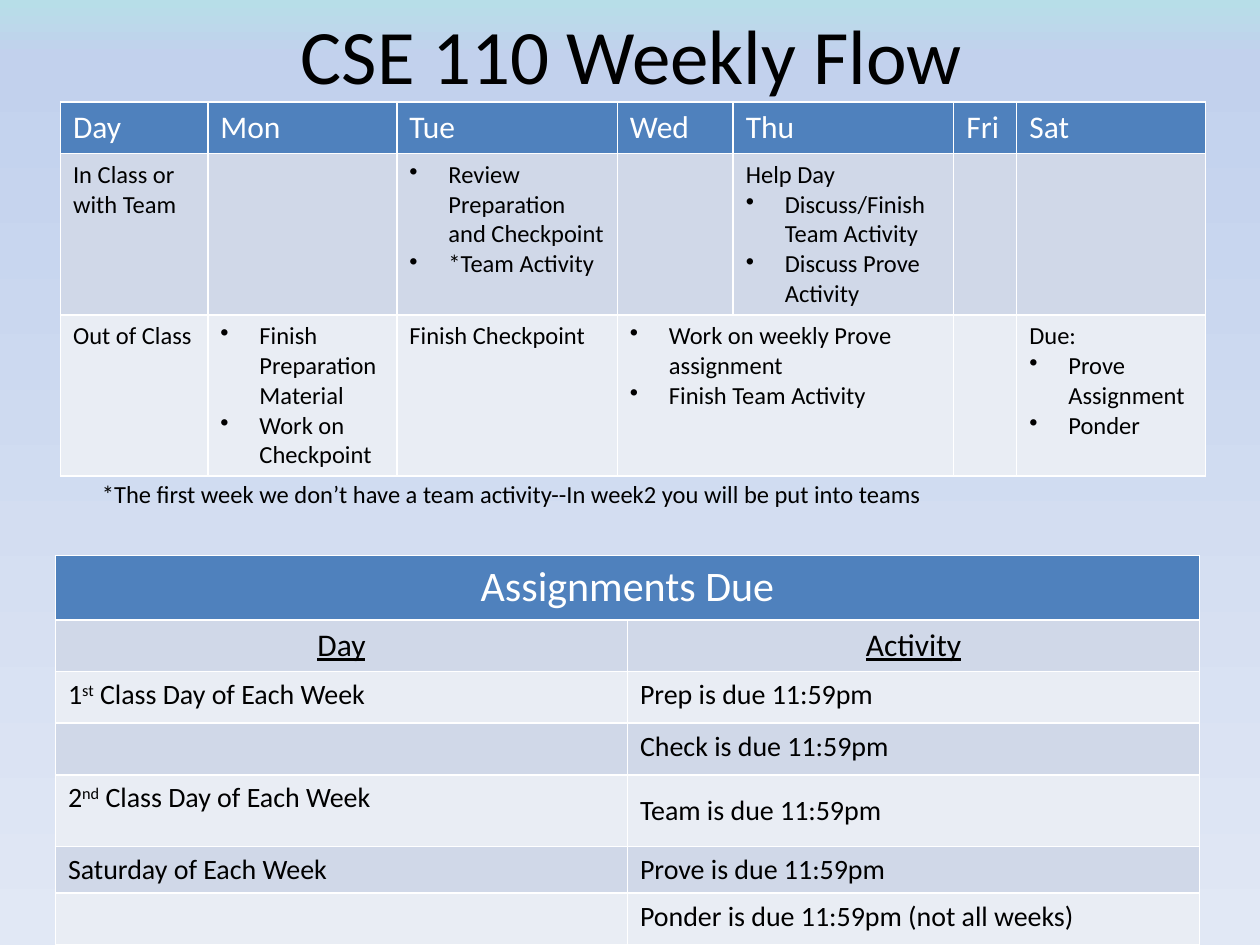
"""Build the CSE 110 weekly flow slide with its schedule and due-date tables."""
from copy import deepcopy

from pptx import Presentation
from pptx.dml.color import RGBColor
from pptx.enum import text as t
from pptx.oxml import ns, xmlchemy
from pptx.util import Inches, Pt
from lxml import etree

BLACK = RGBColor(0x00, 0x00, 0x00)
WHITE = RGBColor(0xFF, 0xFF, 0xFF)
HEADER = RGBColor(0x4F, 0x81, 0xBD)
BANDS = [RGBColor(0xE9, 0xED, 0xF4), RGBColor(0xD0, 0xD8, 0xE8)]
SKY = [(0, RGBColor(0xB7, 0xDE, 0xE8)), (0.06, RGBColor(0xC2, 0xD1, 0xED)),
       (1, RGBColor(0xE1, 0xE8, 0xF5))]


def write(frame, content, size, color=BLACK, align=t.PP_ALIGN.LEFT, underline=False):
    """Fill a frame line by line; '• ' starts a bullet and '^' encloses a superscript."""
    for i, line in enumerate(content.split("\n")):
        para = frame.paragraphs[0] if i == 0 else frame.add_paragraph()
        para.alignment = align
        font = para.font
        font.name, font.size, font.bold = "Calibri", Pt(size), False
        font.underline = underline
        font.color.rgb = color
        if line.startswith("• "):
            props = para._p.get_or_add_pPr()
            props.set("marL", str(Inches(0.31)))
            props.set("indent", str(Inches(-0.31)))
            bullet = etree.Element(ns.qn("a:buChar"), char="•")
            props.insert(0, bullet)
        for j, part in enumerate(line.removeprefix("• ").split("^")):
            run = para.add_run()
            run.text = part
            if j % 2:
                run._r.get_or_add_rPr().set("baseline", "30000")


def add_grid(left, top, widths, heights):
    """Add a table with a header row and alternating bands."""
    grid = slide.shapes.add_table(len(heights), len(widths), Inches(left), Inches(top),
                                  Inches(sum(widths)), Inches(sum(heights))).table
    for column, width in zip(grid.columns, widths):
        column.width = Inches(width)
    for r, height in enumerate(heights):
        grid.rows[r].height = Inches(height)
        for cell in grid.rows[r].cells:
            cell.fill.solid()
            cell.fill.fore_color.rgb = BANDS[r % 2] if r else HEADER
    return grid


prs = Presentation()
prs.slide_width, prs.slide_height = Inches(10), Inches(7.5)
slide = prs.slides.add_slide(prs.slide_layouts[6])

sky = slide.background.fill
sky.gradient()
sky.gradient_angle = 270
first_stop = slide._element.find(".//" + ns.qn("a:gs"))
first_stop.addnext(deepcopy(first_stop))
for stop, (position, color) in zip(sky.gradient_stops, SKY):
    stop.position = position
    stop.color.rgb = color

title = slide.shapes.add_textbox(Inches(0.49), 0, Inches(9.05), Inches(0.86)).text_frame
title.word_wrap = True
title.vertical_anchor = t.MSO_ANCHOR.MIDDLE
write(title, "CSE 110 Weekly Flow", 44, align=t.PP_ALIGN.CENTER)

WEEK = [
    ["Day", "Mon", "Tue", "Wed", "Thu", "Fri", "Sat"],
    ["In Class or with Team", "",
     "• Review Preparation and Checkpoint\n• *Team Activity", "",
     "Help Day\n• Discuss/Finish Team Activity\n• Discuss Prove Activity", "", ""],
    ["Out of Class", "• Finish Preparation Material\n• Work on Checkpoint",
     "Finish Checkpoint",
     "• Work on weekly Prove assignment\n• Finish Team Activity", "", "",
     "Due:\n• Prove Assignment\n• Ponder"],
]
week = add_grid(0.48, 0.81, [1.17, 1.5, 1.75, 0.92, 1.75, 0.5, 1.5], [0.41, 1.28, 1.28])
week.cell(2, 3).merge(week.cell(2, 4))
for r, row in enumerate(WEEK):
    for c, entry in enumerate(row):
        if entry:
            write(week.cell(r, c).text_frame, entry, 14 if r else 18, BLACK if r else WHITE)

DUE = [
    ("1^st^ Class Day of Each Week", "Prep is due 11:59pm"),
    ("", "Check is due 11:59pm"),
    ("2^nd^ Class Day of Each Week", "Team is due 11:59pm"),
    ("Saturday of Each Week", "Prove is due 11:59pm"),
    ("", "Ponder is due 11:59pm (not all weeks)"),
]
due = add_grid(0.44, 4.41, [4.54] * 2, [0.51, 0.41, 0.41, 0.41, 0.57, 0.37, 0.41])
due.cell(0, 0).merge(due.cell(0, 1))
write(due.cell(0, 0).text_frame, "Assignments Due", 24, WHITE, t.PP_ALIGN.CENTER)
for c, heading in enumerate(["Day", "Activity"]):
    write(due.cell(1, c).text_frame, heading, 18, align=t.PP_ALIGN.CENTER, underline=True)
for r, row in enumerate(DUE, start=2):
    for c, entry in enumerate(row):
        if entry:
            write(due.cell(r, c).text_frame, entry, 16)
due.cell(4, 1).vertical_anchor = t.MSO_ANCHOR.MIDDLE

footnote = slide.shapes.add_textbox(Inches(0.71), Inches(3.75), Inches(8.42), Inches(0.34)).text_frame
footnote.word_wrap = True
footnote.auto_size = t.MSO_AUTO_SIZE.SHAPE_TO_FIT_TEXT
write(footnote, "*The first week we don’t have a team activity--In week2 you will be put into teams", 14)

prs.save("out.pptx")
